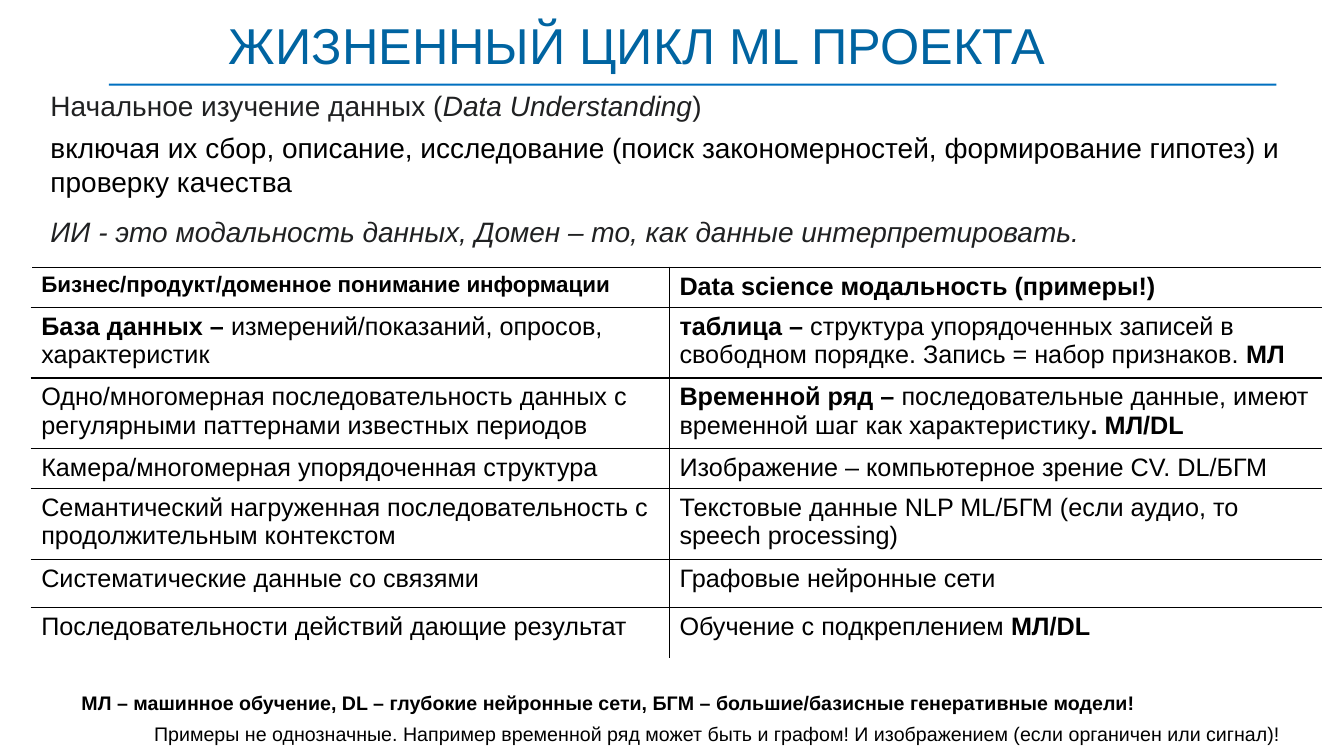
import pptx
import pptx.util
import pptx.dml.color
import pptx.enum.shapes
import pptx.enum.text
import pptx.oxml
import pptx.oxml.ns

Inches, Pt = pptx.util.Inches, pptx.util.Pt
COLORS = {"title": "0064A1", "rule": "0070C0", "dark": "202122", "black": "000000"}


def rgb(name):
    return pptx.dml.color.RGBColor.from_string(COLORS[name])


def write(p, text, size=18, color="black", bold=False, italic=False):
    """Append a formatted run to the paragraph."""
    r = p.add_run()
    r.text = text
    r.font.name = "Arial"
    r.font.size = Pt(size)
    r.font.color.rgb = rgb(color)
    r.font.bold = bold
    r.font.italic = italic


prs = pptx.Presentation()
prs.slide_width, prs.slide_height = Inches(13.33), Inches(7.5)
s = prs.slides.add_slide(prs.slide_layouts[1])
title, body = s.placeholders

# Title and rule
title.left, title.top, title.width, title.height = map(Inches, (2.27, 0.24, 9.58, 0.51))
tf = title.text_frame
tf.margin_left = tf.margin_top = tf.margin_right = tf.margin_bottom = 0
tf.vertical_anchor = pptx.enum.text.MSO_ANCHOR.TOP
tf.auto_size = pptx.enum.text.MSO_AUTO_SIZE.NONE
p = tf.paragraphs[0]
p.alignment = pptx.enum.text.PP_ALIGN.LEFT
p.line_spacing = 0.84
write(p, "ЖИЗНЕННЫЙ ЦИКЛ ML ПРОЕКТА", size=36, color="title")

rule = s.shapes.add_shape(pptx.enum.shapes.MSO_SHAPE.RECTANGLE,
                          Inches(1.08), Inches(0.83), Inches(11.58), Inches(0.02))
rule.shadow.inherit = False
rule.fill.solid()
rule.fill.fore_color.rgb = rgb("rule")
rule.line.fill.background()

# Introduction: space before, then runs
intro = [
    (0, [("Начальное изучение данных (", {"color": "dark"}),
         ("Data Understanding", {"color": "dark", "italic": True}),
         (")", {"color": "dark"})]),
    (0, [("включая их сбор, описание, исследование (поиск закономерностей, "
          "формирование гипотез) и проверку качества", {})]),
    (6, [("ИИ - это модальность данных, Домен – то, как данные интерпретировать.",
          {"color": "dark", "italic": True})]),
]
body.left, body.top, body.width, body.height = map(Inches, (0.11, 0.83, 12.77, 1.8))
tf = body.text_frame
tf.auto_size = pptx.enum.text.MSO_AUTO_SIZE.NONE
for i, (before, runs) in enumerate(intro):
    p = tf.paragraphs[0] if i == 0 else tf.add_paragraph()
    pPr = p._p.get_or_add_pPr()
    pPr.set("marL", str(Inches(0.29)))
    pPr.set("indent", "0")
    pPr.append(pptx.oxml.parse_xml(f'<a:buNone {pptx.oxml.ns.nsdecls("a")}/>'))
    p.space_before, p.space_after = Pt(before), Pt(6)
    for text, fmt in runs:
        write(p, text, size=20, **fmt)

# Table: row height, then the runs of the left and right cells
B = {"bold": True}
rows = [
    (0.4, [("Бизнес/продукт/доменное понимание информации", {"size": 16, **B})],
     [("Data science модальность (примеры!)", B)]),
    (0.7, [("База данных – ", B), ("измерений/показаний, опросов, характеристик", {})],
     [("таблица – ", B),
      ("структура упорядоченных записей в свободном порядке. Запись = набор признаков. ", {}),
      ("МЛ", B)]),
    (0.7, [("Одно/многомерная последовательность данных с регулярными паттернами "
            "известных периодов", {})],
     [("Временной ряд – ", B),
      ("последовательные данные, имеют временной шаг как характеристику", {}),
      (". МЛ/DL", B)]),
    (0.4, [("Камера/многомерная упорядоченная структура", {})],
     [("Изображение – компьютерное зрение CV. DL/БГМ", {})]),
    (0.7, [("Семантический нагруженная последовательность с продолжительным контекстом", {})],
     [("Текстовые данные NLP ML/БГМ (если аудио, то speech processing)", {})]),
    (0.48, [("Систематические данные со связями", {})],
     [("Графовые нейронные сети", {})]),
    (0.5, [("Последовательности действий дающие результат", {})],
     [("Обучение с подкреплением ", {}), ("МЛ/DL", B)]),
]
table = s.shapes.add_table(len(rows), 2, Inches(0.31), Inches(2.65),
                           Inches(12.8), Inches(3.88)).table
table.first_row = table.horz_banding = False
table.columns[0].width, table.columns[1].width = Inches(6.33), Inches(6.47)
for i, (height, *cells) in enumerate(rows):
    table.rows[i].height = Inches(height)
    for j, runs in enumerate(cells):
        cell = table.cell(i, j)
        cell.fill.background()
        for text, fmt in runs:
            write(cell.text_frame.paragraphs[0], text, **fmt)
        sides = ["lnR" if j == 0 else "lnL", "lnT"]
        if i < len(rows) - 1:
            sides.append("lnB")
        tcPr = cell._tc.get_or_add_tcPr()
        for k, side in enumerate(sides):
            tcPr.insert(k, pptx.oxml.parse_xml(
                f'<a:{side} {pptx.oxml.ns.nsdecls("a")} w="{Pt(1)}"><a:solidFill>'
                f'<a:srgbClr val="{COLORS["black"]}"/></a:solidFill></a:{side}>'))

# Notes under the table
notes = [
    (1.43, 7.11, 11.47, False, "Примеры не однозначные. Например временной ряд может быть "
     "и графом! И изображением (если органичен или сигнал)!"),
    (0.71, 6.81, 10.8, True, "МЛ – машинное обучение, DL – глубокие нейронные сети, "
     "БГМ – большие/базисные генеративные модели!"),
]
for left, top, width, bold, text in notes:
    sp = s.shapes.add_textbox(Inches(left), Inches(top), Inches(width), Inches(0.34))
    sp.text_frame.word_wrap = True
    write(sp.text_frame.paragraphs[0], text, size=14, bold=bold)

prs.save("out.pptx")
